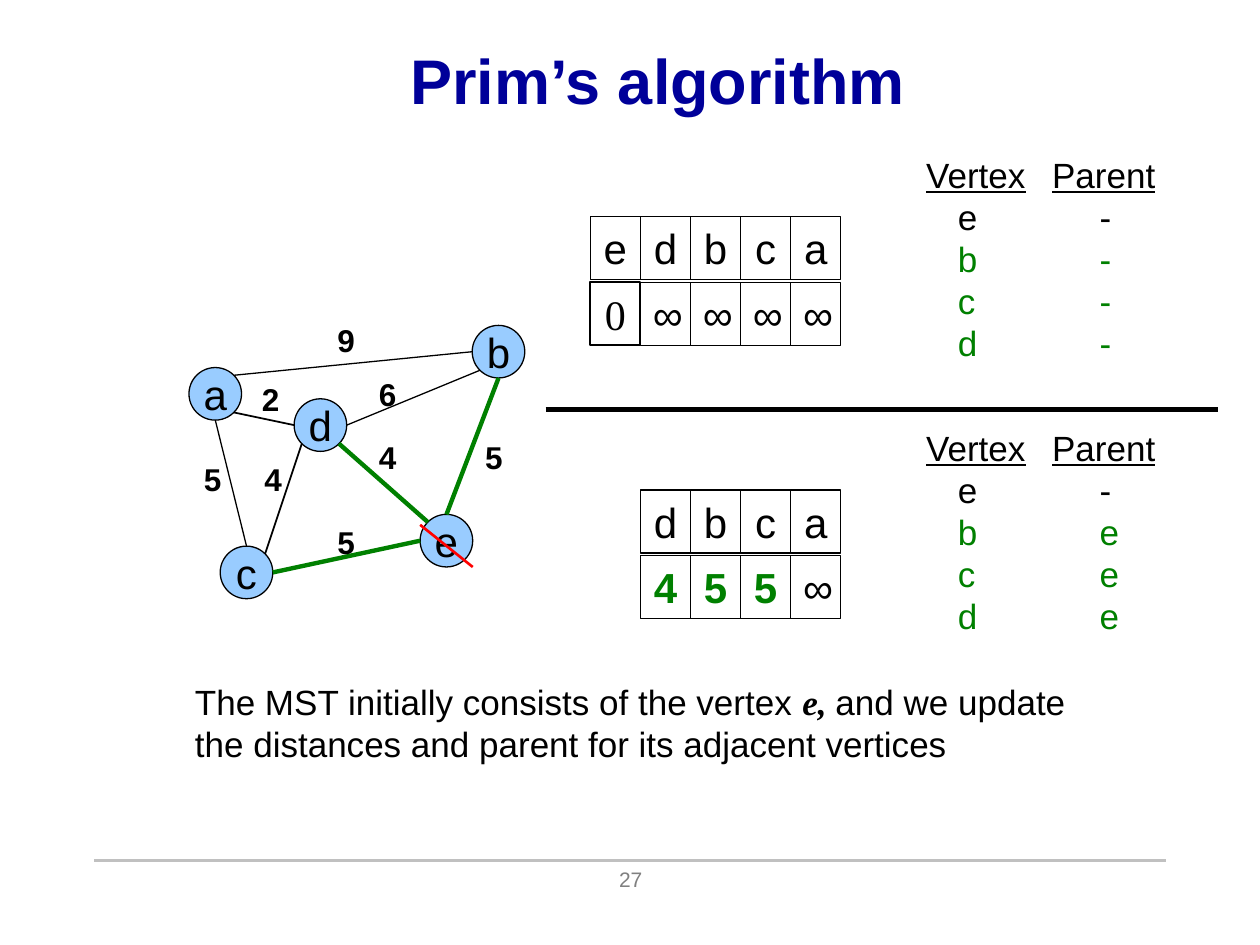
from math import cos, radians, sin

from lxml import etree
from pptx import Presentation
from pptx.dml.color import RGBColor
from pptx.enum.shapes import MSO_CONNECTOR, MSO_SHAPE
from pptx.enum.text import MSO_ANCHOR, PP_ALIGN
from pptx.oxml.ns import qn
from pptx.util import Cm, Pt

BLACK = RGBColor(0x00, 0x00, 0x00)
NAVY = RGBColor(0x00, 0x00, 0x99)
GREEN = RGBColor(0x00, 0x80, 0x00)
RED = RGBColor(0xFF, 0x00, 0x00)
SKY = RGBColor(0x99, 0xCC, 0xFF)
SILVER = RGBColor(0xC0, 0xC0, 0xC0)
GRAY = RGBColor(0x80, 0x80, 0x80)
LEFT, CENTER = PP_ALIGN.LEFT, PP_ALIGN.CENTER
TOP, MIDDLE = MSO_ANCHOR.TOP, MSO_ANCHOR.MIDDLE
STRAIGHT = MSO_CONNECTOR.STRAIGHT
OVAL, RECT = MSO_SHAPE.OVAL, MSO_SHAPE.RECTANGLE


def add_line(x1, y1, x2, y2, color, width):
    line = slide.shapes.add_connector(STRAIGHT, Cm(x1), Cm(y1), Cm(x2), Cm(y2))
    line.line.color.rgb = color
    line.line.width = Pt(width)
    etree.SubElement(line._element.spPr, qn("a:effectLst"))


def write(sp, text, size, color=BLACK, bold=False, align=LEFT, anchor=TOP, font="Arial"):
    """Fill a shape with text, one paragraph per line, and format it evenly."""
    tf = sp.text_frame
    tf.text = text
    tf.word_wrap = True
    tf.vertical_anchor = anchor
    for p in tf.paragraphs:
        p.alignment = align
        for r in p.runs:
            r.font.name = font
            r.font.size = Pt(size)
            r.font.bold = bold
            r.font.color.rgb = color
    return tf


prs = Presentation()
prs.slide_width, prs.slide_height = Cm(25.4), Cm(19.05)
slide = prs.slides.add_slide(prs.slide_layouts[5])

# Title and footer
title = slide.shapes.title
title.left, title.top, title.width, title.height = Cm(1.12), Cm(0.64), Cm(24.28), Cm(1.9)
write(title, "Prim’s algorithm", 36, NAVY, True, CENTER, MIDDLE)
add_line(1.9, 17.35, 23.5, 17.35, SILVER, 1.5)
number = slide.shapes.add_textbox(Cm(8.69), Cm(17.35), Cm(8.05), Cm(1.27))
write(number, "27", 12, GRAY, align=CENTER)

# Graph vertices, by centre
RADIUS = 0.53
vertices = {"a": (4.34, 7.94), "c": (4.97, 11.54), "e": (9.0, 10.9),
            "d": (6.46, 8.57), "b": (10.05, 7.09)}
for name, (x, y) in vertices.items():
    sp = slide.shapes.add_shape(OVAL, Cm(x - RADIUS), Cm(y - RADIUS),
                                Cm(2 * RADIUS), Cm(2 * RADIUS))
    sp.shadow.inherit = False
    sp.fill.solid()
    sp.fill.fore_color.rgb = SKY
    sp.line.color.rgb = BLACK
    sp.line.width = Pt(0.75)
    write(sp, name, 24, align=CENTER, anchor=MIDDLE).word_wrap = False

# Graph edges: ends with their clockwise angle on the circle, colour, width,
# weight and the weight's place
edges = [
    ("a", -45, "b", 180, BLACK, 0.75, "9", 6.55, 6.35),
    ("d", 0, "b", 135, BLACK, 0.75, "6", 7.39, 7.44),
    ("a", 90, "c", -90, BLACK, 0.75, "5", 3.86, 9.14),
    ("a", 45, "d", 180, BLACK, 1, "2", 5.03, 7.54),
    ("c", -45, "d", 135, BLACK, 1, "4", 5.08, 9.14),
    ("d", 45, "e", -135, GREEN, 2.5, "4", 7.39, 8.71),
    ("b", 90, "e", -90, GREEN, 2.5, "5", 9.53, 8.71),
    ("e", 180, "c", 0, GREEN, 2.5, "5", 6.55, 10.41),
]
for start, start_angle, end, end_angle, color, width, weight, x, y in edges:
    ends = []
    for name, angle in ((start, start_angle), (end, end_angle)):
        cx, cy = vertices[name]
        ends += [cx + RADIUS * cos(radians(angle)), cy + RADIUS * sin(radians(angle))]
    add_line(*ends, color, width)
    label = slide.shapes.add_textbox(Cm(x), Cm(y), Cm(0.87), Cm(1.02))
    write(label, weight, 18, bold=True)
add_line(8.47, 10.58, 9.53, 11.43, RED, 1.5)

# Priority queues before and after the update
CELL_W, CELL_H, ROW_STEP = 1.01, 1.27, 1.32
queues = [(11.9, 4.37, ["edbca", "0∞∞∞∞"]), (12.91, 9.88, ["dbca", "455∞"])]
for left, top, rows in queues:
    for i, row in enumerate(rows):
        for j, value in enumerate(row):
            sp = slide.shapes.add_shape(RECT, Cm(left + j * CELL_W), Cm(top + i * ROW_STEP),
                                        Cm(CELL_W), Cm(CELL_H))
            sp.shadow.inherit = False
            sp.fill.background()
            sp.line.color.rgb = BLACK
            sp.line.width = Pt({"e": 0.5, "0": 1}.get(value, 0.75))
            updated = value in "45"
            write(sp, value, 24, GREEN if updated else BLACK, updated, CENTER,
                  font="Times New Roman" if value == "0" else "Arial")

# Parent lists before and after the update
for top, parent in ((2.96, "-"), (8.47, "e")):
    box = slide.shapes.add_textbox(Cm(18.42), Cm(top), Cm(5.3), Cm(4.5))
    lines = ["Vertex\tParent", "\te\t\t-"] + [f"\t{v}\t\t{parent}" for v in "bcd"]
    tf = write(box, "\n".join(lines), 20)
    for i, p in enumerate(tf.paragraphs):
        tabs = etree.SubElement(p._p.get_or_add_pPr(), qn("a:tabLst"))
        for pos in (0.64, 2.54, 3.5):
            etree.SubElement(tabs, qn("a:tab"), pos=str(Cm(pos)), algn="l")
        for r in p.runs:
            r.font.underline = i == 0
            r.font.color.rgb = GREEN if i > 1 else BLACK
add_line(11, 8.26, 24.55, 8.26, BLACK, 3)

# Explanation
box = slide.shapes.add_textbox(Cm(3.68), Cm(13.59), Cm(18.4), Cm(1.96))
tf = write(box, "The MST initially consists of the vertex \n"
                "the distances and parent for its adjacent vertices", 20)
p = tf.paragraphs[0]
for text, font, strong in (("e, ", "Times New Roman", True), ("and we update", "Arial", False)):
    r = p.add_run()
    r.text = text
    r.font.name = font
    r.font.size = Pt(20)
    r.font.bold = r.font.italic = strong
    r.font.color.rgb = BLACK

prs.save("out.pptx")
